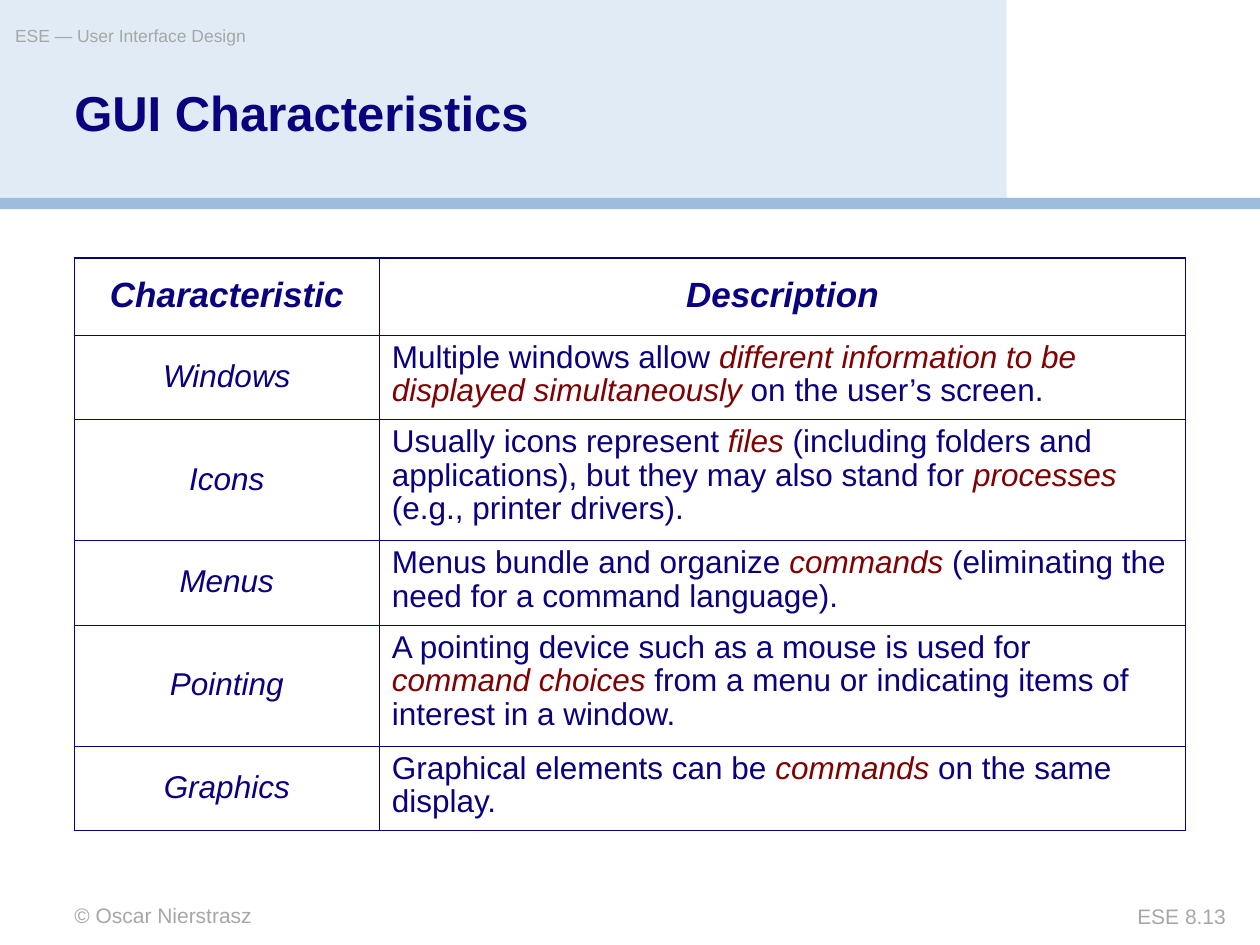
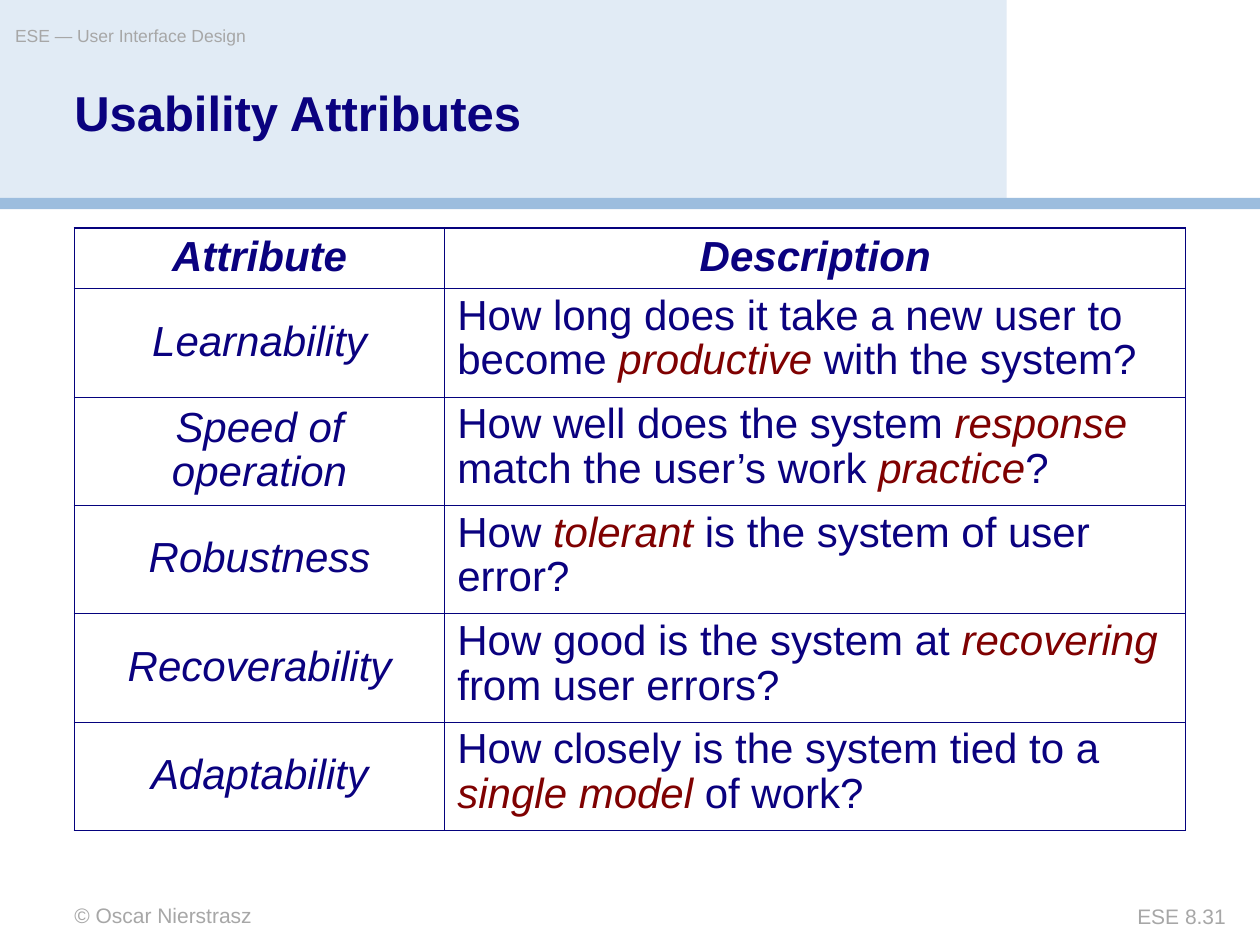
from lxml.etree import SubElement
from pptx import Presentation
from pptx.dml.color import RGBColor
from pptx.enum.shapes import MSO_SHAPE as Shape
from pptx.enum.text import MSO_ANCHOR as Anchor, PP_ALIGN as Align
from pptx.oxml.ns import qn
from pptx.util import Inches, Pt

NAVY = RGBColor(0x0A, 0x01, 0x7F)
MAROON = RGBColor(0x7F, 0x01, 0x01)
GREY = RGBColor(0xA7, 0xA7, 0xA7)
PALE_BLUE = RGBColor(0xE1, 0xEB, 0xF5)
MID_BLUE = RGBColor(0x9C, 0xBD, 0xDE)
RULE = RGBColor(0x05, 0x02, 0x7D)
FONT = "Arial"
THIN, THICK = Pt(0.45), Pt(1.08)
TABLE_LEFT = 0.59

GUI_ROWS = [
    ("Characteristic", "Description"),
    ("Windows", "Multiple windows allow *different information to be displayed "
                "simultaneously* on the user’s screen."),
    ("Icons", "Usually icons represent *files* (including folders and applications), "
              "but they may also stand for *processes* (e.g., printer drivers)."),
    ("Menus", "Menus bundle and organize *commands* (eliminating the need for a "
              "command language)."),
    ("Pointing", "A pointing device such as a mouse is used for *command choices* "
                 "from a menu or indicating items of interest in a window."),
    ("Graphics", "Graphical elements can be *commands* on the same display."),
]
USABILITY_ROWS = [
    ("Attribute", "Description"),
    ("Learnability", "How long does it take a new user to become *productive* "
                     "with the system?"),
    ("Speed of operation", "How well does the system *response* match the user’s "
                           "work *practice*?"),
    ("Robustness", "How *tolerant* is the system of user error?"),
    ("Recoverability", "How good is the system at *recovering* from user errors?"),
    ("Adaptability", "How closely is the system tied to a *single model* of work?"),
]


def set_all(target, values):
    for name, value in values.items():
        setattr(target, name, value)


def add_span(para, text, color, **style):
    span = para.add_run()
    span.text = text
    set_all(span.font, {"name": FONT, **style})
    span.font.color.rgb = color


def add_band(page, box, color):
    band = page.shapes.add_shape(Shape.RECTANGLE, *map(Inches, box))
    band.shadow.inherit = False
    band.fill.solid()
    band.fill.fore_color.rgb = color
    band.line.fill.background()


def add_label(page, box, text, color, align=Align.LEFT, spacing=1.0, **style):
    frame = page.shapes.add_textbox(*map(Inches, box)).text_frame
    set_all(frame, {"word_wrap": True, "margin_left": 0, "margin_top": 0,
                    "margin_right": 0, "margin_bottom": 0})
    para = frame.paragraphs[0]
    set_all(para, {"alignment": align, "line_spacing": spacing})
    add_span(para, text, color, **style)


def add_frame(page, title, number):
    add_band(page, (0, 0, 7.99, 1.58), PALE_BLUE)
    add_band(page, (0, 1.57, 10, 0.09), MID_BLUE)
    add_label(page, (TABLE_LEFT, 7.16, 4.17, 0.2), "© Oscar Nierstrasz", GREY, size=Pt(12))
    add_label(page, (0.12, 0.2, 5.9, 0.28), "ESE — User Interface Design", GREY, size=Pt(10))
    add_label(page, (8.25, 7.17, 1.48, 0.2), f"ESE {number}", GREY, Align.RIGHT, size=Pt(12))
    add_label(page, (TABLE_LEFT, 0.71, 7.24, 0.89), title, NAVY, spacing=0.9,
              size=Pt(28), bold=True)


def set_borders(cell, outer_sides):
    properties = cell._tc.get_or_add_tcPr()
    for side in "LRTB":
        width = THICK if side in outer_sides else THIN
        line = SubElement(properties, qn(f"a:ln{side}"), w=str(int(width)))
        SubElement(SubElement(line, qn("a:solidFill")), qn("a:srgbClr"), val=str(RULE))


def fill_cell(cell, text, size, centred, bold):
    cell.vertical_anchor = Anchor.MIDDLE if centred else Anchor.TOP
    para = cell.text_frame.paragraphs[0]
    set_all(para, {"alignment": Align.CENTER if centred else Align.LEFT,
                   "line_spacing": 0.95})
    for index, part in enumerate(text.split("*")):
        stressed = index % 2 == 1
        add_span(para, part, MAROON if stressed else NAVY, size=Pt(size),
                 bold=bold, italic=centred or stressed)


def add_description_table(page, top, widths, heights, rows, head_size, body_size):
    box = (TABLE_LEFT, top, sum(widths), sum(heights))
    table = page.shapes.add_table(len(rows), len(widths), *map(Inches, box)).table
    set_all(table, {"first_row": False, "horz_banding": False})
    for column, width in zip(table.columns, widths):
        column.width = Inches(width)
    for row, height in zip(table.rows, heights):
        row.height = Inches(height)
    for row_index, texts in enumerate(rows):
        heading = row_index == 0
        edge = "T" if heading else "B" if row_index == len(rows) - 1 else ""
        for column_index, text in enumerate(texts):
            cell = table.cell(row_index, column_index)
            set_borders(cell, edge + "LR"[column_index])
            cell.fill.background()
            fill_cell(cell, text, head_size if heading else body_size,
                      heading or column_index == 0, heading)


def add_table_page(deck, title, number, **table_format):
    page = deck.slides.add_slide(deck.slide_layouts[6])
    add_frame(page, title, number)
    add_description_table(page, **table_format)


def main():
    deck = Presentation()
    set_all(deck, {"slide_width": Inches(10), "slide_height": Inches(7.5)})
    add_table_page(deck, "GUI Characteristics", "8.13", top=2.05, widths=(2.42, 6.4),
                   heights=(0.61, 0.67, 0.96, 0.67, 0.96, 0.67), rows=GUI_ROWS,
                   head_size=20, body_size=18)
    add_table_page(deck, "Usability Attributes", "8.31", top=1.81, widths=(2.94, 5.88),
                   heights=(0.48,) + (0.86,) * 5, rows=USABILITY_ROWS,
                   head_size=24, body_size=24)
    deck.save("out.pptx")


if __name__ == "__main__":
    main()
